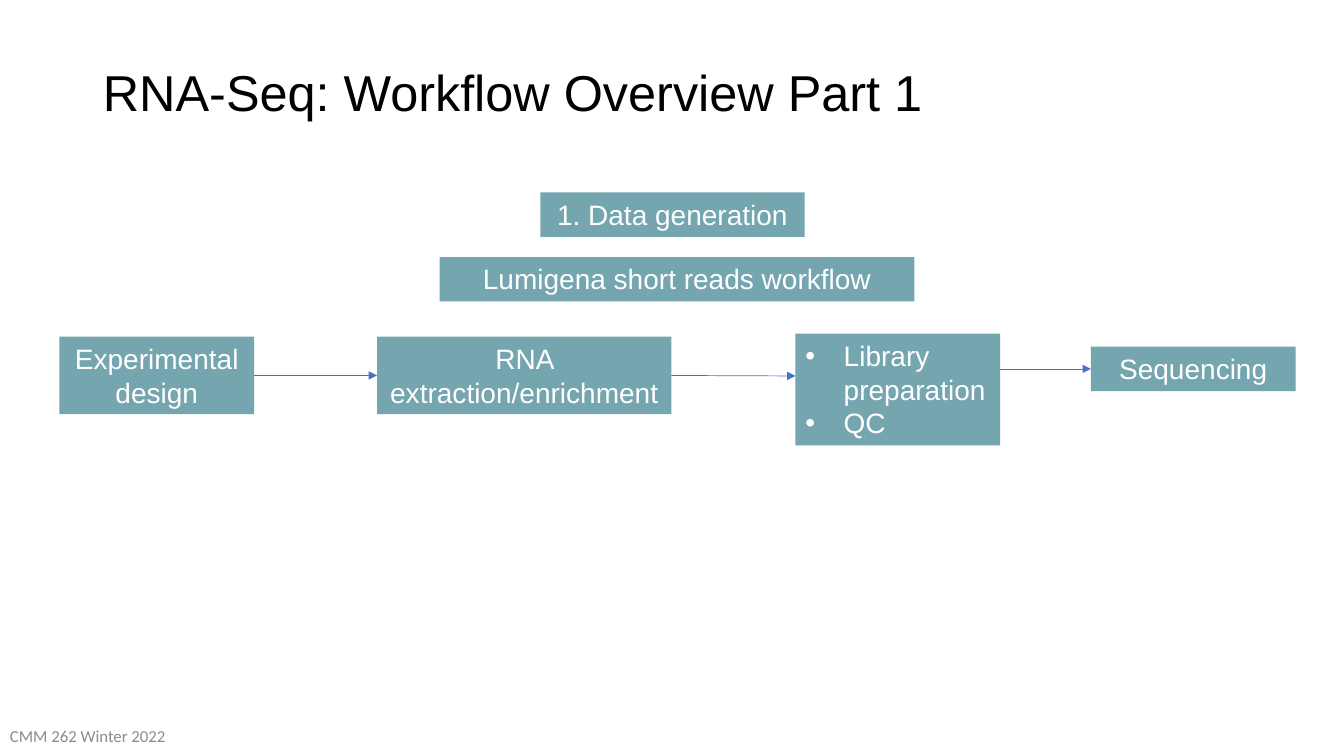
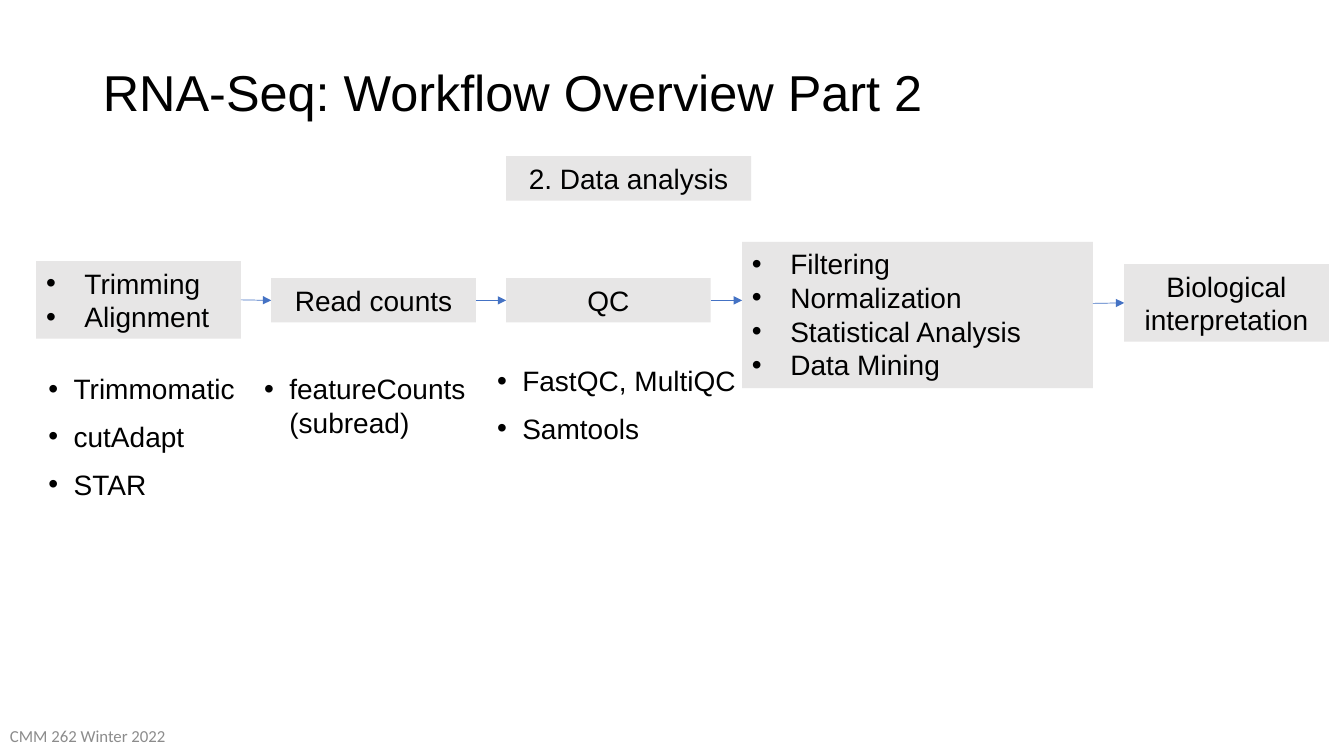
from dataclasses import dataclass

from lxml import etree
from pptx import Presentation
from pptx.dml.color import RGBColor
from pptx.enum.shapes import MSO_CONNECTOR, MSO_SHAPE
from pptx.enum.text import MSO_ANCHOR, MSO_AUTO_SIZE, PP_ALIGN
from pptx.oxml.ns import qn
from pptx.util import Inches, Pt

STRAIGHT = MSO_CONNECTOR.STRAIGHT
RECTANGLE = MSO_SHAPE.RECTANGLE
TOP, MIDDLE = MSO_ANCHOR.TOP, MSO_ANCHOR.MIDDLE
LEFT, CENTER = PP_ALIGN.LEFT, PP_ALIGN.CENTER
RIGHT_SIDE, LEFT_SIDE = 3, 1
TITLE_ONLY = 5


@dataclass(frozen=True)
class Theme:
    black: RGBColor = RGBColor(0x00, 0x00, 0x00)
    white: RGBColor = RGBColor(0xFF, 0xFF, 0xFF)
    teal: RGBColor = RGBColor(0x75, 0xA5, 0xAF)
    pale_grey: RGBColor = RGBColor(0xE7, 0xE6, 0xE6)
    footer_grey: RGBColor = RGBColor(0x8C, 0x8C, 0x8C)
    arrow_blue: RGBColor = RGBColor(0x44, 0x72, 0xC4)
    font: str = "Arial"
    footer_font: str = "Calibri"
    title_size: int = 36
    body_size: int = 20
    footer_size: int = 12
    arrow_width: float = 0.5


@dataclass(frozen=True)
class BoxStyle:
    fill: RGBColor
    text: RGBColor


THEME = Theme()
GENERATION = BoxStyle(THEME.teal, THEME.white)
ANALYSIS = BoxStyle(THEME.pale_grey, THEME.black)
FOOTER = "CMM 262 Winter 2022"
JOIN_TOLERANCE = Inches(0.03)


# Text helpers
def add_run(paragraph, text, size, color, font=THEME.font):
    run = paragraph.add_run()
    run.text = text
    run.font.name = font
    run.font.size = Pt(size)
    run.font.color.rgb = color


def add_bullet(paragraph, indent):
    properties = paragraph._p.get_or_add_pPr()
    properties.set("marL", str(Inches(indent)))
    properties.set("indent", str(-Inches(indent)))
    etree.SubElement(properties, qn("a:buFont")).set("typeface", "Arial")
    etree.SubElement(properties, qn("a:buChar")).set("char", "•")


def fill_lines(frame, lines, color, indent=None, gap=0):
    """Write one paragraph a line: bulleted with an indent, else centred."""
    frame.word_wrap = True
    frame.auto_size = MSO_AUTO_SIZE.NONE
    frame.vertical_anchor = TOP
    for index, line in enumerate(lines):
        paragraph = frame.add_paragraph() if index else frame.paragraphs[0]
        paragraph.alignment = LEFT if indent else CENTER
        if indent:
            add_bullet(paragraph, indent)
        if index and gap:
            paragraph.space_before = Pt(gap)
        add_run(paragraph, line, THEME.body_size, color)


# Diagram parts
def add_box(slide, box, lines, style):
    """Filled box; a list of lines is bulleted, a plain string is centred."""
    shape = slide.shapes.add_shape(RECTANGLE, *map(Inches, box))
    shape.shadow.inherit = False
    shape.fill.solid()
    shape.fill.fore_color.rgb = style.fill
    shape.line.fill.background()
    if isinstance(lines, str):
        fill_lines(shape.text_frame, [lines], style.text)
    else:
        fill_lines(shape.text_frame, lines, style.text, indent=0.38)
    return shape


def add_arrow(slide, source, target, level):
    """Level arrow between two boxes, joined where it meets a side's middle."""
    y = Inches(level)
    arrow = slide.shapes.add_connector(
        STRAIGHT, source.left + source.width, y, target.left, y)
    if abs(source.top + source.height // 2 - y) <= JOIN_TOLERANCE:
        arrow.begin_connect(source, RIGHT_SIDE)
    if abs(target.top + target.height // 2 - y) <= JOIN_TOLERANCE:
        arrow.end_connect(target, LEFT_SIDE)
    arrow.line.color.rgb = THEME.arrow_blue
    arrow.line.width = Pt(THEME.arrow_width)
    line = arrow.line._get_or_add_ln()
    etree.SubElement(line, qn("a:tailEnd")).set("type", "triangle")
    etree.SubElement(arrow._element.spPr, qn("a:effectLst"))


def add_flow(slide, steps, levels, style):
    boxes = [add_box(slide, box, lines, style) for box, lines in steps]
    for source, target, level in zip(boxes, boxes[1:], levels):
        add_arrow(slide, source, target, level)


def add_tool_list(slide, box, tools):
    frame = slide.shapes.add_textbox(*map(Inches, box)).text_frame
    frame.margin_left = frame.margin_right = Inches(0.13)
    frame.margin_top = frame.margin_bottom = Inches(0.13)
    fill_lines(frame, tools, THEME.black, indent=0.25, gap=10)


# Shared slide frame: title and footer
def add_workflow_slide(presentation, title_text):
    slide = presentation.slides.add_slide(
        presentation.slide_layouts[TITLE_ONLY])
    title = slide.shapes.title
    title.left, title.top = Inches(0.92), Inches(0.4)
    title.width, title.height = Inches(11.5), Inches(1.08)
    title.text_frame.vertical_anchor = MIDDLE
    paragraph = title.text_frame.paragraphs[0]
    paragraph.alignment = LEFT
    paragraph.line_spacing = 0.9
    add_run(paragraph, title_text, THEME.title_size, THEME.black)

    footer = slide.shapes.add_textbox(
        Inches(0), Inches(7.1), Inches(3.13), Inches(0.4)).text_frame
    footer.word_wrap = True
    footer.vertical_anchor = MIDDLE
    add_run(footer.paragraphs[0], FOOTER, THEME.footer_size,
            THEME.footer_grey, THEME.footer_font)
    return slide


def build_generation_slide(presentation):
    slide = add_workflow_slide(
        presentation, "RNA-Seq: Workflow Overview Part 1")
    # Headings
    add_box(slide, (5.36, 1.91, 2.62, 0.44), "1. Data generation", GENERATION)
    add_box(slide, (4.36, 2.55, 4.71, 0.44),
            "Lumigena short reads workflow", GENERATION)
    # Laboratory steps
    steps = [
        ((0.59, 3.34, 1.93, 0.77), "Experimental design"),
        ((3.74, 3.34, 2.92, 0.77), "RNA extraction/enrichment"),
        ((7.89, 3.31, 2.03, 1.11), ["Library preparation", "QC"]),
        ((10.82, 3.44, 2.03, 0.44), "Sequencing"),
    ]
    add_flow(slide, steps, (3.73, 3.73, 3.66), GENERATION)


def build_analysis_slide(presentation):
    slide = add_workflow_slide(
        presentation, "RNA-Seq: Workflow Overview Part 2")
    # Heading
    add_box(slide, (5.02, 1.55, 2.43, 0.44), "2. Data analysis", ANALYSIS)
    # Analysis steps
    steps = [
        ((0.36, 2.59, 2.03, 0.77), ["Trimming", "Alignment"]),
        ((2.69, 2.76, 2.03, 0.44), "Read counts"),
        ((5.02, 2.76, 2.03, 0.44), "QC"),
        ((7.36, 2.4, 3.48, 1.45), ["Filtering", "Normalization",
                                   "Statistical Analysis", "Data Mining"]),
        ((11.15, 2.62, 2.03, 0.77), "Biological interpretation"),
    ]
    add_flow(slide, steps, (2.98, 2.98, 2.98, 3.01), ANALYSIS)
    # Tools under the first three steps
    add_tool_list(slide, (0.35, 3.56, 2.31, 2.16),
                  ["Trimmomatic", "cutAdapt", "STAR"])
    add_tool_list(slide, (2.49, 3.56, 2.31, 2.16),
                  ["featureCounts (subread)"])
    add_tool_list(slide, (4.8, 3.48, 2.89, 1.41),
                  ["FastQC, MultiQC", "Samtools"])


def main():
    presentation = Presentation()
    presentation.slide_width = Inches(13.33)
    presentation.slide_height = Inches(7.5)
    build_generation_slide(presentation)
    build_analysis_slide(presentation)
    presentation.save("out.pptx")


if __name__ == "__main__":
    main()
